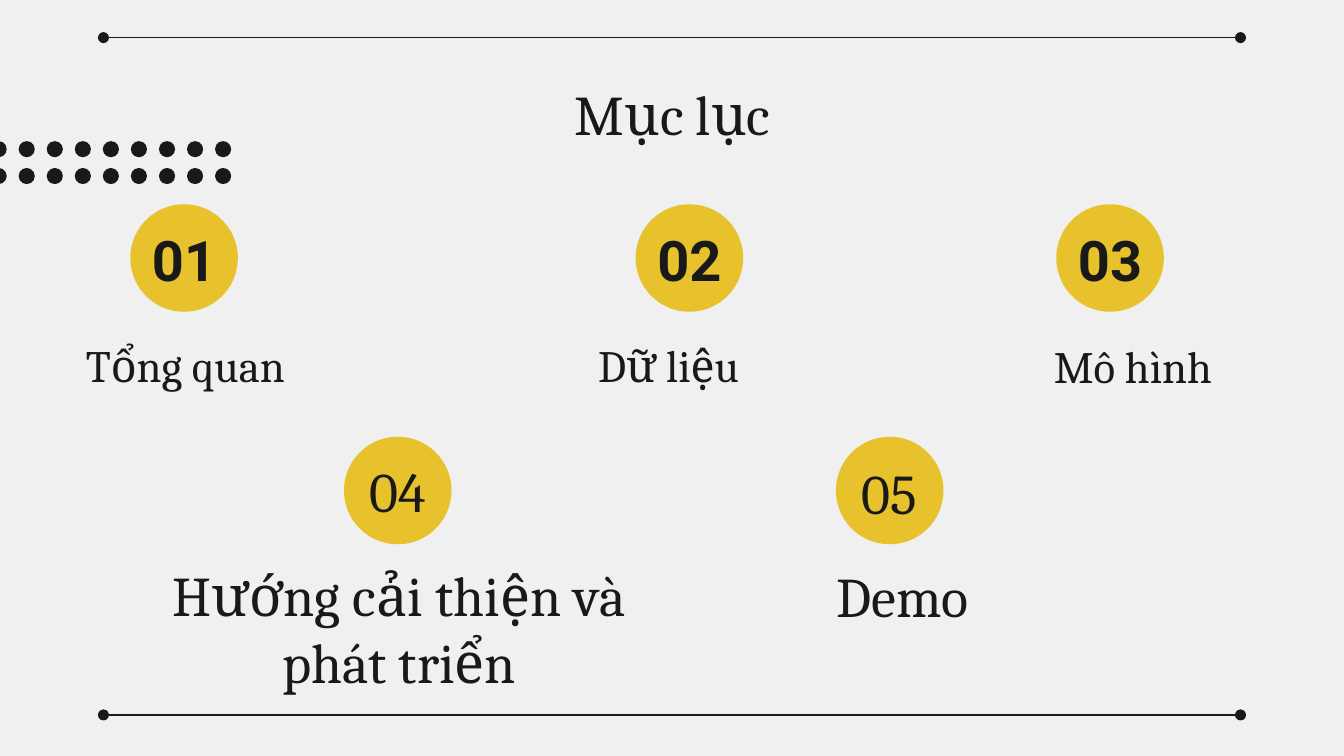
import pptx
import pptx.util
import pptx.dml.color
import pptx.enum.shapes
import pptx.enum.text
import pptx.oxml.ns
from lxml import etree

Inches = pptx.util.Inches
Shape = pptx.enum.shapes.MSO_SHAPE
Anchor = pptx.enum.text.MSO_ANCHOR
INK, GOLD, PAPER = "191919", "E7C22C", "F0F0F0"
DISC = 0.8


def color(code):
    """Turn a hex string into a colour."""
    return pptx.dml.color.RGBColor.from_string(code)


def write(slide, text, box, size=30, face="Cambria", bold=False, anchor=Anchor.BOTTOM):
    """Put centred text in a box."""
    label = slide.shapes.add_textbox(*map(Inches, box))
    frame = label.text_frame
    frame.word_wrap = True
    frame.vertical_anchor = anchor
    frame.margin_left = frame.margin_right = Inches(0.1)
    frame.margin_top = frame.margin_bottom = Inches(0.1)
    para = frame.paragraphs[0]
    para.alignment = pptx.enum.text.PP_ALIGN.CENTER
    run = para.add_run()
    run.text = text
    run.font.size = pptx.util.Pt(size)
    run.font.name = face
    run.font.bold = bold
    run.font.color.rgb = color(INK)


def disc(shapes, left, top, size, fill):
    """Draw a plain filled circle."""
    dot = shapes.add_shape(Shape.OVAL, *map(Inches, (left, top, size, size)))
    dot.shadow.inherit = False
    dot.fill.solid()
    dot.fill.fore_color.rgb = color(fill)
    dot.line.fill.background()


def rule(slide, left, right, top):
    """Draw a level line with a round cap at each end."""
    line = slide.shapes.add_connector(
        pptx.enum.shapes.MSO_CONNECTOR.STRAIGHT,
        Inches(left), Inches(top), Inches(right), Inches(top))
    line.line.width = pptx.util.Pt(0.75)
    line.line.color.rgb = color(INK)
    stroke = line.line._get_or_add_ln()
    for end in ("a:headEnd", "a:tailEnd"):
        etree.SubElement(stroke, pptx.oxml.ns.qn(end), type="oval")
    etree.SubElement(line._element.spPr, pptx.oxml.ns.qn("a:effectLst"))


def dots(slide, left, top, span, cols=9, rows=2):
    """Draw a grouped grid of small dots spread evenly over a span."""
    group = slide.shapes.add_group_shape()
    step = span / (cols - 1)
    for col in range(cols):
        for row in range(rows):
            disc(group.shapes, left + col * step, top + row * 0.2, 0.12, INK)


def entry(slide, left, top, number, title, box, size=30, drop=0.16, **style):
    """Draw a numbered disc and its title, whose box is relative to the disc."""
    disc(slide.shapes, left, top, DISC, GOLD)
    write(slide, number, (left, top + drop, DISC, 0.49), anchor=Anchor.MIDDLE, **style)
    across, down, wide, high = box
    write(slide, title, (left + across, top + down, wide, high), size=size)


def main():
    """Build the contents slide."""
    deck = pptx.Presentation()
    deck.slide_width = Inches(10)
    deck.slide_height = deck.slide_width * 9 // 16
    slide = deck.slides.add_slide(deck.slide_layouts[6])
    slide.background.fill.solid()
    slide.background.fill.fore_color.rgb = color(PAPER)

    write(slide, "Mục lục", (0.79, 0.49, 8.43, 0.63), anchor=Anchor.TOP)
    for top in (0.28, 5.32):
        rule(slide, 0.77, 9.23, top)
    dots(slide, -0.07, 1.05, 1.67)

    upper = [
        (0.97, "01", "Tổng quan", (-0.78, 0.91, 2.38, 0.58)),
        (4.73, "02", "Dữ liệu", (-1.15, 0.64, 2.79, 0.85)),
        (7.86, "03", "Mô hình", (-0.8, 0.62, 2.74, 0.88)),
    ]
    for left, number, title, box in upper:
        entry(slide, left, 1.52, number, title, box, size=24, face="Roboto", bold=True)

    lower = [
        (2.56, "04", "Hướng cải thiện và phát triển", (-1.6, 0.32, 4.02, 1.7), 0.15),
        (6.22, "05", "Demo", (-1.16, 0.82, 3.31, 0.71), 0.17),
    ]
    for left, number, title, box, drop in lower:
        entry(slide, left, 3.25, number, title, box, drop=drop)

    deck.save("out.pptx")


if __name__ == "__main__":
    main()
